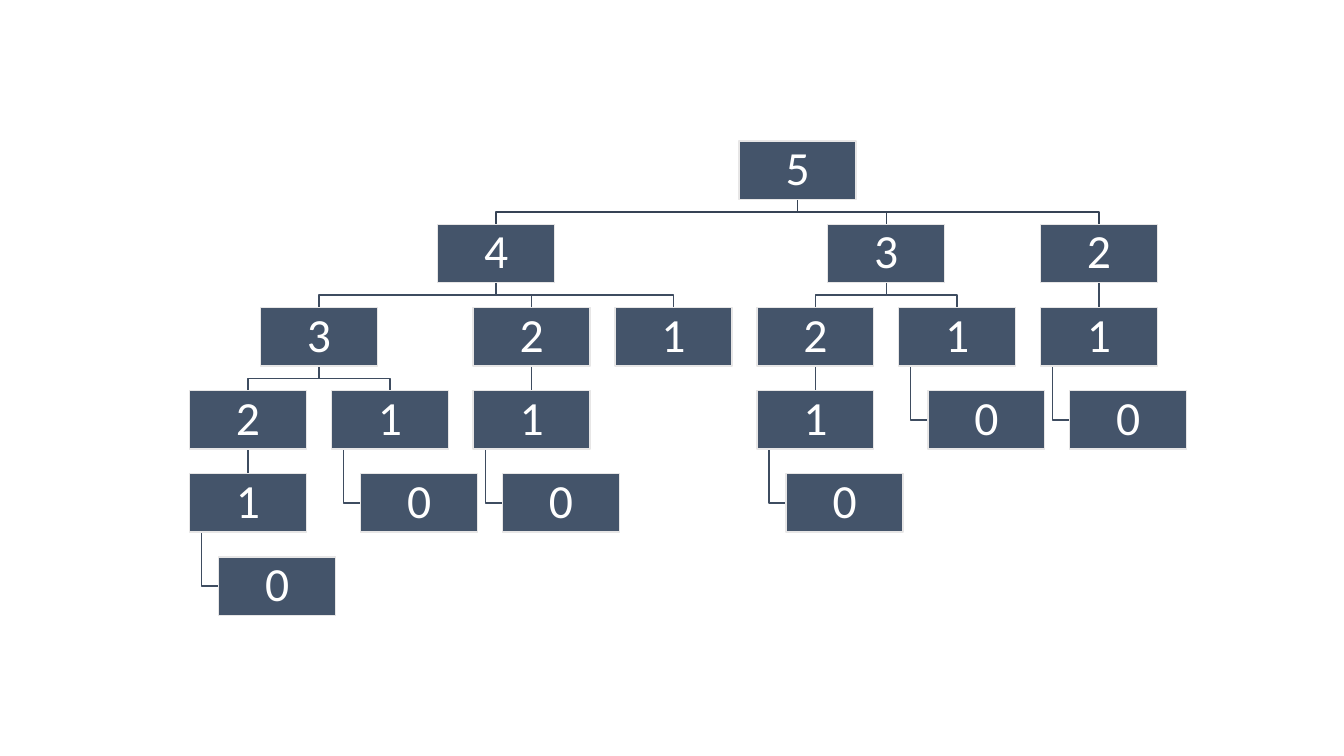
import pptx
import pptx.dml.color
import pptx.enum.shapes
import pptx.enum.text
import pptx.util
from lxml import etree

Inches = pptx.util.Inches
Pt = pptx.util.Pt
RGBColor = pptx.dml.color.RGBColor

NAVY = RGBColor(0x44, 0x54, 0x6A)
EDGE = RGBColor(0xE7, 0xE6, 0xE6)
WHITE = RGBColor(0xFF, 0xFF, 0xFF)
TOP_LINK = RGBColor(0x36, 0x43, 0x55)
LINK = RGBColor(0x3E, 0x4C, 0x60)

WIDE, HIGH = 1.16, 0.58
LEFT, TOP = 2.46, 1.4
COL = (10.9 - LEFT) / 6
ROW = 3.3 / 4
HANG, INSET = 0.29, 0.12

ONE = ("1", ("0",))
TWO = ("2", ONE)
TREE = ("5", ("4", ("3", TWO, ONE), TWO, ("1",)), ("3", TWO, ONE), TWO)


def write(shape, text, font="Calibri", size=34, color=WHITE):
    """Put centred text in a shape."""
    frame = shape.text_frame
    frame.word_wrap = True
    frame.vertical_anchor = pptx.enum.text.MSO_ANCHOR.MIDDLE
    frame.margin_left = frame.margin_right = Inches(0.02)
    frame.margin_top = frame.margin_bottom = Inches(0.02)
    para = frame.paragraphs[0]
    para.alignment = pptx.enum.text.PP_ALIGN.CENTER
    para.line_spacing = 0.9
    run = para.add_run()
    run.text = text
    run.font.name = font
    run.font.size = Pt(size)
    run.font.color.rgb = color


class Chart:
    """Hold the tree style and the current slide."""

    def __init__(self, slide):
        self.shapes = slide.shapes
        self.width = Pt(1)
        self.leaves = 0
        self.boxes = []
        self.links = []

    def stroke(self, item, color):
        """Set the line of a shape or connector."""
        item.line.color.rgb = color
        item.line.width = self.width

    def place(self, node, depth=0):
        """Find the centre of a node after those of its children."""
        label, *kids = node
        y = TOP + depth * ROW
        base = y + HIGH
        if kids and kids[0][0] != "0":
            spots = [self.place(kid, depth + 1) for kid in kids]
            x = (spots[0] + spots[-1]) / 2
            mid = (base + y + ROW) / 2
            color = LINK if depth else TOP_LINK
            for spot in spots:
                points = [(x, base), (x, mid), (spot, mid), (spot, y + ROW)]
                if len(spots) == 1:
                    points = [points[0], points[-1]]
                self.links.append((points, color))
        else:
            x = LEFT + self.leaves * COL
            self.leaves += 1
            if kids:
                stem = x - WIDE / 2 + INSET
                mid = base + ROW - HIGH / 2
                side = x + HANG - WIDE / 2
                self.links.append(([(stem, base), (stem, mid), (side, mid)], LINK))
                self.boxes.append((kids[0][0], x + HANG, y + ROW))
        self.boxes.append((label, x, y))
        return x

    def line(self, points, color):
        """Draw a straight connector."""
        ends = [Inches(value) for point in points for value in point]
        kind = pptx.enum.shapes.MSO_CONNECTOR.STRAIGHT
        item = self.shapes.add_connector(kind, *ends)
        self.stroke(item, color)
        tag = pptx.oxml.ns.qn("a:effectLst")
        etree.SubElement(item._element.spPr, tag)

    def elbow(self, points, color):
        """Draw a bent link."""
        first, *rest = [(Inches(x), Inches(y)) for x, y in points]
        pen = self.shapes.build_freeform(*first)
        pen.add_line_segments(rest, close=False)
        item = pen.convert_to_shape()
        item.fill.background()
        item.shadow.inherit = False
        self.stroke(item, color)

    def box(self, label, x, y):
        """Draw a labelled node."""
        kind = pptx.enum.shapes.MSO_SHAPE.RECTANGLE
        item = self.shapes.add_shape(
            kind, Inches(x - WIDE / 2), Inches(y), Inches(WIDE), Inches(HIGH))
        item.fill.solid()
        item.fill.fore_color.rgb = NAVY
        item.shadow.inherit = False
        self.stroke(item, EDGE)
        write(item, label)

    def draw(self, tree):
        """Draw the links and then the nodes."""
        self.place(tree)
        for points, color in self.links:
            link = self.line if len(points) == 2 else self.elbow
            link(points, color)
        for box in self.boxes:
            self.box(*box)


deck = pptx.Presentation()
deck.slide_width, deck.slide_height = Inches(13.33), Inches(7.5)
Chart(deck.slides.add_slide(deck.slide_layouts[6])).draw(TREE)
deck.save("out.pptx")
